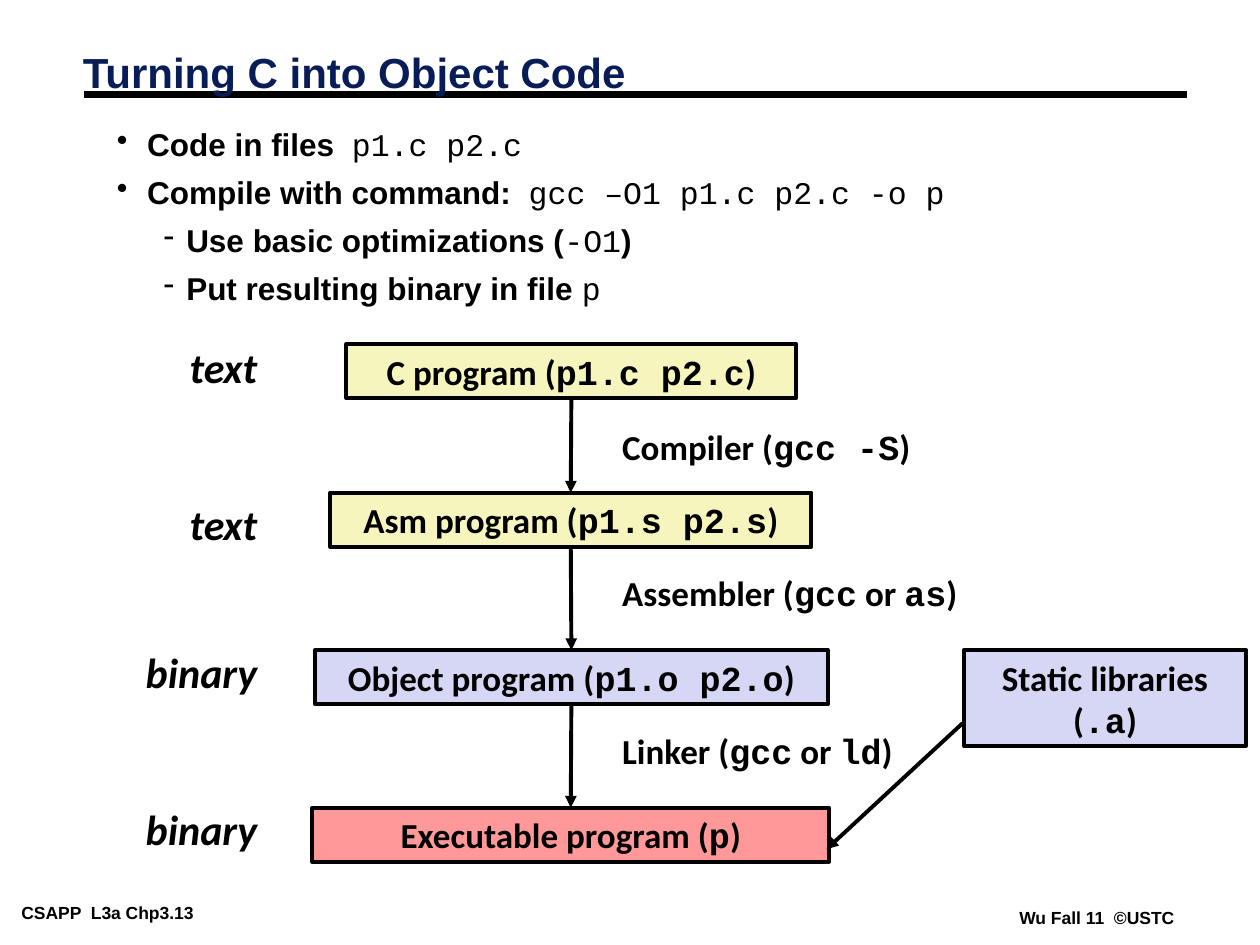
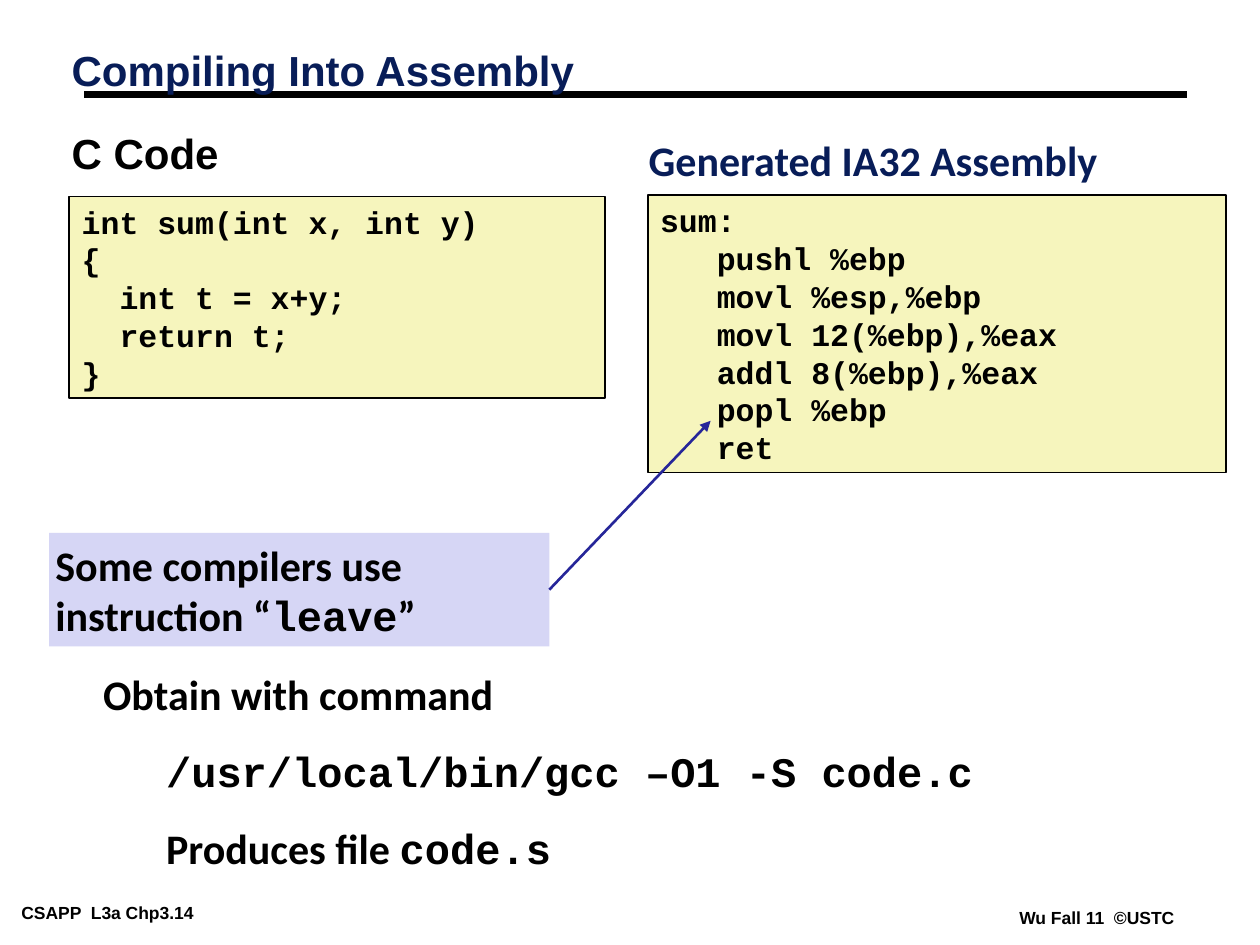
"""Build two lecture slides on compiling C into object code and assembly."""
from dataclasses import dataclass, replace

from lxml import etree
from pptx import Presentation, util as u
from pptx.dml.color import RGBColor
from pptx.enum import shapes, text
from pptx.oxml import ns

PX = u.Inches(1) // 100


@dataclass(frozen=True)
class Theme:
    """Colours, fonts and type sizes of the lecture."""
    ink: str = "000000"
    navy: str = "081D58"
    pointer: str = "262699"
    cream: str = "F6F5BD"
    lavender: str = "D6D6F5"
    salmon: str = "FF9999"
    heading: str = "Arial"
    body: str = "Calibri"
    code: str = "Courier New"
    footer_size: int = 10
    text_size: int = 18
    diagram_size: int = 20
    title_size: int = 24


THEME = Theme()


@dataclass(frozen=True)
class Style:
    """Look of a block of text; pieces between backticks are set as code."""
    font: str = THEME.body
    size: int = THEME.title_size
    color: str = THEME.ink
    italic: bool = False
    code_bold: bool = True
    align: text.PP_ALIGN = text.PP_ALIGN.LEFT
    anchor: text.MSO_ANCHOR = text.MSO_ANCHOR.TOP
    line_spacing: float = 1.0
    space_before: float = 0
    margins: tuple = (10, 5, 10, 5)


BODY = Style()
FOOTER = Style(font=THEME.heading, size=THEME.footer_size, margins=(7, 3, 0, 3))
TITLE = Style(font=THEME.heading, color=THEME.navy, line_spacing=0.87,
              anchor=text.MSO_ANCHOR.MIDDLE)
BULLETS = Style(font=THEME.heading, size=THEME.text_size, code_bold=False,
                line_spacing=0.85, space_before=9)
KIND = Style(italic=True, align=text.PP_ALIGN.RIGHT)
TOOL = Style(size=THEME.diagram_size)
STAGE = replace(TOOL, align=text.PP_ALIGN.CENTER)
LISTING = Style(font=THEME.code, size=THEME.text_size)


def px(*lengths):
    """Turn px lengths into EMU."""
    return [u.Emu(length * PX) for length in lengths]


def rgb(color):
    """Turn a hex string into a colour."""
    return RGBColor.from_string(color)


def write(shape, lines, style):
    """Fill a shape with one paragraph per line and return the paragraphs."""
    frame = shape.text_frame
    frame.word_wrap = True
    frame.vertical_anchor = style.anchor
    (frame.margin_left, frame.margin_top,
     frame.margin_right, frame.margin_bottom) = px(*style.margins)
    for index, line in enumerate(lines):
        paragraph = frame.add_paragraph() if index else frame.paragraphs[0]
        paragraph.alignment = style.align
        paragraph.line_spacing = style.line_spacing
        paragraph.space_before = u.Pt(style.space_before if index else 0)
        for position, piece in enumerate(line.split("`")):
            if piece:
                is_code = position % 2 == 1
                run = paragraph.add_run()
                run.text = piece
                run.font.name = THEME.code if is_code else style.font
                run.font.size = u.Pt(style.size)
                run.font.bold = style.code_bold if is_code else True
                run.font.italic = style.italic
                run.font.color.rgb = rgb(style.color)
    return frame.paragraphs


def add_text(slide, place, lines, style=BODY):
    """Add a text box and return its paragraphs."""
    return write(slide.shapes.add_textbox(*px(*place)), lines, style)


def add_box(slide, place, lines, style, fill, line_width=0):
    """Add a filled rectangle with text."""
    shape = slide.shapes.add_shape(shapes.MSO_SHAPE.RECTANGLE, *px(*place))
    shape.shadow.inherit = False
    shape.fill.solid()
    shape.fill.fore_color.rgb = rgb(fill)
    if line_width:
        shape.line.color.rgb = rgb(THEME.ink)
        shape.line.width = u.Pt(line_width)
    else:
        shape.line.fill.background()
    write(shape, lines, style)
    return shape


def add_line(slide, start, end, width, color=THEME.ink, arrow=True):
    """Add a straight line, with an arrowhead at its end if wanted."""
    connector = slide.shapes.add_connector(
        shapes.MSO_CONNECTOR.STRAIGHT, *px(*start, *end))
    connector.line.color.rgb = rgb(color)
    connector.line.width = u.Pt(width)
    if arrow:
        outline = connector.line._get_or_add_ln()
        etree.SubElement(outline, ns.qn("a:tailEnd"), type="triangle")
    etree.SubElement(connector._element.spPr, ns.qn("a:effectLst"))
    return connector


def indent(paragraph, left, first=0):
    """Set the left and first-line indents of a paragraph."""
    properties = paragraph._p.get_or_add_pPr()
    properties.set("marL", str(left * PX))
    properties.set("indent", str(first * PX))
    return properties


def add_bullet(paragraph, mark, left, hang):
    """Give a paragraph a hanging bullet."""
    properties = indent(paragraph, left, -hang)
    color = etree.SubElement(properties, ns.qn("a:buClr"))
    etree.SubElement(color, ns.qn("a:srgbClr"), val=THEME.ink)
    etree.SubElement(properties, ns.qn("a:buChar"), char=mark)


def add_lecture_slide(presentation, number, title, place):
    """Add a blank slide with the shared footers, rule and title."""
    slide = presentation.slides.add_slide(presentation.slide_layouts[6])
    add_text(slide, (10, 713, 202, 22), [f"CSAPP  L3a Chp3.{number}"], FOOTER)
    add_text(slide, (802, 717, 138, 22), ["Wu Fall 11  ©USTC"], FOOTER)
    add_line(slide, (67, 75), (942, 75), 4.5, arrow=False)
    add_text(slide, place, [title], TITLE)
    return slide


def add_object_code_slide(presentation):
    """Show the stages from C source to executable."""
    slide = add_lecture_slide(presentation, 13, "Turning C into Object Code",
                              (56, 28, 765, 63))
    bullets = add_text(slide, (46, 99, 909, 160), [
        "Code in files  `p1.c p2.c`",
        "Compile with command:  `gcc –O1 p1.c p2.c -o p`",
        "Use basic optimizations (`-O1`)",
        "Put resulting binary in file `p`"], BULLETS)
    for paragraph in bullets[:2]:
        add_bullet(paragraph, "•", 61, 24)
    for paragraph in bullets[2:]:
        add_bullet(paragraph, "-", 92, 18)

    for kind, top in (("text", 266), ("text", 391), ("binary", 508), ("binary", 633)):
        add_text(slide, (105, top, 109, 50), [kind], KIND)
    for tool, top in (("Compiler (`gcc -S`)", 333),
                      ("Assembler (`gcc` or `as`)", 449),
                      ("Linker (`gcc` or `ld`)", 574)):
        add_text(slide, (484, top, 333, 43), [tool], TOOL)

    center = 453
    stages = [
        add_box(slide, (center - width // 2, top, width, 43), [label], STAGE, fill, 2.25)
        for label, top, width, fill in (
            ("C program (`p1.c p2.c`)", 273, 357, THEME.cream),
            ("Asm program (`p1.s p2.s`)", 391, 382, THEME.cream),
            ("Object program (`p1.o p2.o`)", 516, 407, THEME.lavender),
            ("Executable program (`p`)", 641, 410, THEME.salmon))]
    for source, target in zip(stages, stages[1:]):
        arrow = add_line(slide, (center, 0), (center, 0), 2.25)
        arrow.begin_connect(source, 2)
        arrow.end_connect(target, 0)
    add_box(slide, (765, 516, 224, 76), ["Static libraries (`.a`)"], STAGE,
            THEME.lavender, 2.25)
    add_line(slide, (764, 574), (656, 674), 2.25)


def add_assembly_slide(presentation):
    """Show a C function beside its assembly."""
    slide = add_lecture_slide(presentation, 14, "Compiling Into Assembly",
                              (47, 28, 749, 61))
    add_text(slide, (47, 106, 177, 40), ["C Code"],
             Style(font=THEME.heading, line_spacing=0.75))
    add_box(slide, (55, 156, 425, 160), [
        "int sum(int x, int y)",
        "{",
        "  int t = x+y;",
        "  return t;",
        "}"], LISTING, THEME.cream, 1)
    add_text(slide, (505, 102, 450, 45), ["Generated IA32 Assembly"],
             Style(color=THEME.navy))
    add_box(slide, (514, 155, 459, 220), [
        "sum:",
        "   pushl %ebp",
        "   movl %esp,%ebp",
        "   movl 12(%ebp),%eax",
        "   addl 8(%ebp),%eax",
        "   popl %ebp",
        "   ret"], LISTING, THEME.cream, 1)
    steps = add_text(slide, (72, 526, 817, 171), [
        "Obtain with command",
        "`/usr/local/bin/gcc –O1 -S code.c`",
        "Produces file `code.s`"], Style(space_before=15))
    for paragraph in steps[1:]:
        indent(paragraph, 50)
    note = add_box(slide, (39, 423, 397, 90),
                   ["Some compilers use instruction “`leave`”"],
                   Style(margins=(5, 5, 5, 5)), THEME.lavender)
    pointer = add_line(slide, (436, 468), (564, 334), 1.5, THEME.pointer)
    pointer.begin_connect(note, 3)


def main():
    """Build and save the presentation."""
    presentation = Presentation()
    presentation.slide_width, presentation.slide_height = px(1000, 750)
    add_object_code_slide(presentation)
    add_assembly_slide(presentation)
    presentation.save("out.pptx")


if __name__ == "__main__":
    main()
